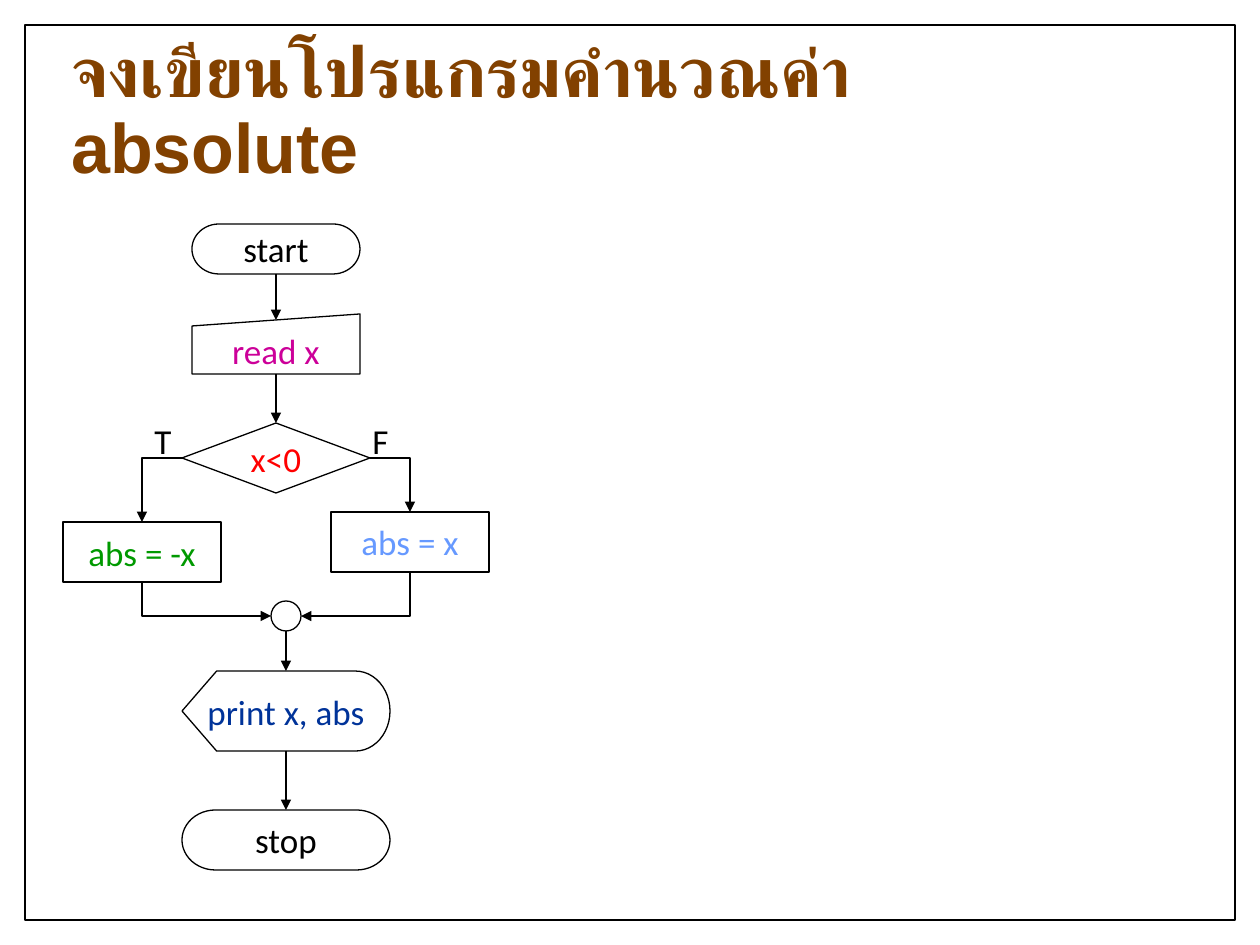
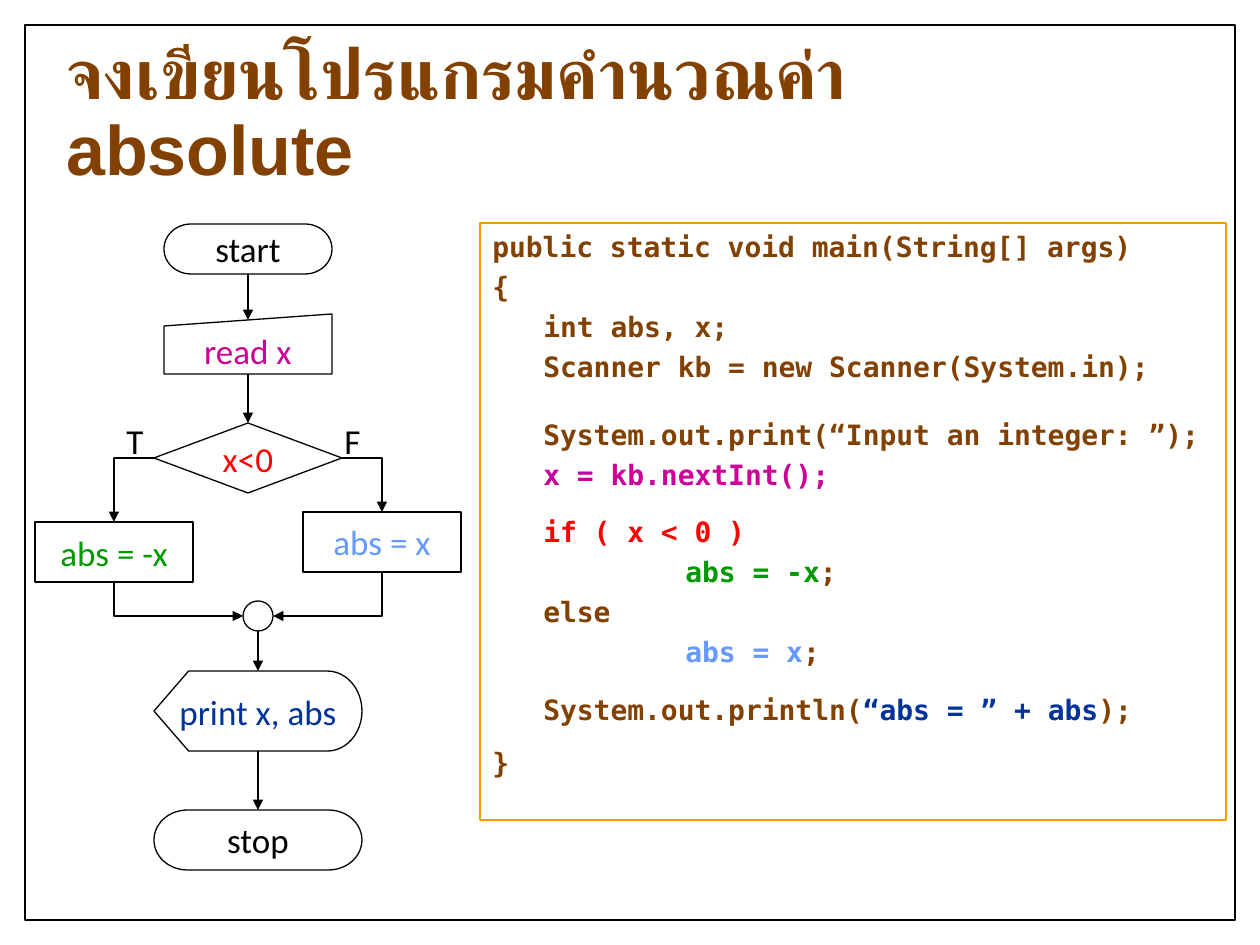
"""Builds two slides that chart and code the absolute value of a number."""
from pptx import Presentation
from pptx import util as u
from pptx.dml.color import RGBColor
from pptx.enum import shapes, text
from pptx.oxml.ns import qn
from lxml import etree

EMU_PER_PX = 914400 / 126
BLACK = RGBColor(0x00, 0x00, 0x00)
WHITE = RGBColor(0xFF, 0xFF, 0xFF)
BROWN = RGBColor(0x82, 0x41, 0x00)
MAGENTA = RGBColor(0xCC, 0x00, 0x99)
RED = RGBColor(0xFF, 0x00, 0x00)
GREEN = RGBColor(0x00, 0x99, 0x00)
SKY = RGBColor(0x66, 0x99, 0xFF)
NAVY = RGBColor(0x00, 0x33, 0x99)
ORANGE = RGBColor(0xFF, 0x99, 0x00)

TITLE = "จงเขียนโปรแกรมคำนวณค่า absolute"
TITLE_FONT = {"name": "Arial", "size": u.Pt(40), "bold": True}
FLOW_FONT = {"name": "Calibri", "size": u.Pt(20), "bold": False}
CODE_FONT = {"name": "DejaVu Sans Mono", "size": u.Pt(16), "bold": True}
TITLE_FRAME = {"word_wrap": True, "vertical_anchor": text.MSO_ANCHOR.MIDDLE}
NODE_FRAME = {"word_wrap": False, "vertical_anchor": text.MSO_ANCHOR.MIDDLE}
LABEL_FRAME = {"word_wrap": False, "auto_size": text.MSO_AUTO_SIZE.SHAPE_TO_FIT_TEXT}
CODE_FRAME = {"word_wrap": True, "vertical_anchor": text.MSO_ANCHOR.TOP}

LINE_GAP = 1.83
BODY, NESTED = 51, 193
CODE = [
    (0, 0, [("public static void main(String[] args)", BROWN)]),
    (0, 0, [("{", BROWN)]),
    (BODY, 0, [("int abs, x;", BROWN)]),
    (BODY, 0, [("Scanner kb = new Scanner(System.in);", BROWN)]),
    (BODY, 16, [("System.out.print(“Input an integer: ”);", BROWN)]),
    (BODY, 0, [("x = kb.nextInt();", MAGENTA)]),
    (BODY, 10, [("if ( x < 0 )", RED)]),
    (NESTED, 0, [("abs = -x", GREEN), (";", BROWN)]),
    (BODY, 0, [("else", BROWN)]),
    (NESTED, 0, [("abs = x", SKY), (";", BROWN)]),
    (BODY, 10, [("System.out.println(", BROWN), ("“abs = ” + abs", NAVY), (");", BROWN)]),
    (0, 7.5, [("}", BROWN)]),
]


def px(length):
    return u.Emu(round(length * EMU_PER_PX))


def assign(target, values):
    for name, value in values.items():
        setattr(target, name, value)


class Deck:
    """Holds the style and the current slide."""

    def __init__(self):
        self.prs = Presentation()
        assign(self.prs, {"slide_width": px(1260), "slide_height": px(945)})
        self.shapes = None

    def page(self, title_x, title_y):
        self.shapes = self.prs.slides.add_slide(self.prs.slide_layouts[6]).shapes
        self.box(shapes.MSO_SHAPE.RECTANGLE, 25, 25, 1210, 895, width=1)
        title = self.caption(TITLE, title_x, title_y, 1021, 186, TITLE_FRAME, TITLE_FONT, BROWN)
        title.line_spacing = 0.9

    def group(self):
        self.shapes = self.shapes.add_group_shape().shapes

    def box(self, preset, x, y, w, h, fill=WHITE, line=BLACK, width=0.75):
        shape = self.shapes.add_shape(preset, px(x), px(y), px(w), px(h))
        shape.shadow.inherit = False
        if fill is None:
            shape.fill.background()
        else:
            shape.fill.solid()
            shape.fill.fore_color.rgb = fill
        shape.line.color.rgb = line
        shape.line.width = u.Pt(width)
        return shape

    def add_words(self, paragraph, words, font, color):
        run = paragraph.add_run()
        run.text = words
        assign(run.font, font)
        run.font.color.rgb = color

    def caption(self, words, x, y, w, h, frame, font, color):
        holder = self.shapes.add_textbox(px(x), px(y), px(w), px(h))
        assign(holder.text_frame, frame)
        paragraph = holder.text_frame.paragraphs[0]
        self.add_words(paragraph, words, font, color)
        return paragraph

    def node(self, preset, axis, y, w, h, words="", color=BLACK):
        step = self.box(preset, axis - w / 2, y, w, h)
        if words:
            assign(step.text_frame, NODE_FRAME)
            paragraph = step.text_frame.paragraphs[0]
            paragraph.alignment = text.PP_ALIGN.CENTER
            self.add_words(paragraph, words, FLOW_FONT, color)
        return step

    def arrow(self, x1, y1, x2, y2, kind=shapes.MSO_CONNECTOR.STRAIGHT):
        link = self.shapes.add_connector(kind, px(x1), px(y1), px(x2), px(y2))
        link.line.color.rgb = BLACK
        link.line.width = u.Pt(0.75)
        properties = link.element.spPr
        etree.SubElement(properties.find(qn("a:ln")), qn("a:tailEnd"), type="triangle")
        etree.SubElement(properties, qn("a:effectLst"))
        return link

    def drop(self, axis, y1, y2, source=None, target=None):
        link = self.arrow(axis, y1, axis, y2)
        if source is not None:
            link.begin_connect(source, 2)
        if target is not None:
            link.end_connect(target, 0)

    def corner(self, x1, y1, x2, y2):
        link = self.arrow(x1, y1, x2, y2, shapes.MSO_CONNECTOR.ELBOW)
        link.element.spPr.find(qn("a:prstGeom")).set("prst", "bentConnector2")
        return link

    def corner_down_first(self, x1, y1, x2, y2):
        side = 1 if x1 > x2 else -1
        mid_x, mid_y = (x1 + x2) / 2, (y1 + y2) / 2
        half_w, half_h = side * (y2 - y1) / 2, abs(x2 - x1) / 2
        link = self.corner(mid_x - half_w, mid_y - half_h, mid_x + half_w, mid_y + half_h)
        turn = link.element.spPr.find(qn("a:xfrm"))
        turn.set("rot", str(90 * side % 360 * 60000))

    def code(self, lines, x, y, w, h):
        panel = self.box(shapes.MSO_SHAPE.RECTANGLE, x, y, w, h, None, ORANGE)
        frame = panel.text_frame
        assign(frame, CODE_FRAME)
        for number, (indent, extra, parts) in enumerate(lines):
            line = frame.add_paragraph() if number else frame.paragraphs[0]
            assign(line, {"alignment": text.PP_ALIGN.LEFT,
                          "space_before": u.Pt(LINE_GAP + extra),
                          "space_after": u.Pt(LINE_GAP)})
            line._p.get_or_add_pPr().set("marL", str(px(indent)))
            for words, color in parts:
                self.add_words(line, words, CODE_FONT, color)

    def flowchart(self, axis):
        self.group()
        preset = shapes.MSO_SHAPE
        left, right, exit_axis = axis - 134, axis + 134, axis + 10
        start = self.node(preset.FLOWCHART_TERMINATOR, axis, 224, 168, 50, "start")
        stop = self.node(preset.FLOWCHART_TERMINATOR, exit_axis, 810, 208, 60, "stop")
        read = self.node(preset.FLOWCHART_MANUAL_INPUT, axis, 314, 168, 60, "read x", MAGENTA)
        test = self.node(preset.FLOWCHART_DECISION, axis, 423, 188, 70, "x<0", RED)
        self.node(preset.FLOWCHART_PROCESS, left, 522, 158, 60, "abs = -x", GREEN)
        self.node(preset.FLOWCHART_PROCESS, right, 512, 158, 60, "abs = x", SKY)
        self.node(preset.FLOWCHART_CONNECTOR, exit_axis, 601, 30, 30)
        output = self.node(preset.FLOWCHART_DISPLAY, exit_axis, 671, 208, 80, "print x, abs", NAVY)

        self.corner(axis + 94, 458, right, 512)
        self.corner(axis - 94, 458, left, 522)
        self.corner_down_first(left, 582, exit_axis - 15, 616)
        self.corner_down_first(right, 572, exit_axis + 15, 616)
        self.drop(axis, 274, 320, source=start)
        self.drop(axis, 374, 423, read, test)
        self.drop(exit_axis, 631, 671, target=output)
        self.drop(exit_axis, 751, 810, output, stop)
        for answer, x in (("T", left), ("F", axis + 84)):
            self.caption(answer, x, 413, 47, 54, LABEL_FRAME, FLOW_FONT, BLACK)


def main():
    deck = Deck()
    deck.page(59, 20)
    deck.flowchart(276)
    deck.page(54, 22)
    deck.code(CODE, 480, 223, 746, 597)
    deck.flowchart(248)
    deck.prs.save("out.pptx")


if __name__ == "__main__":
    main()
